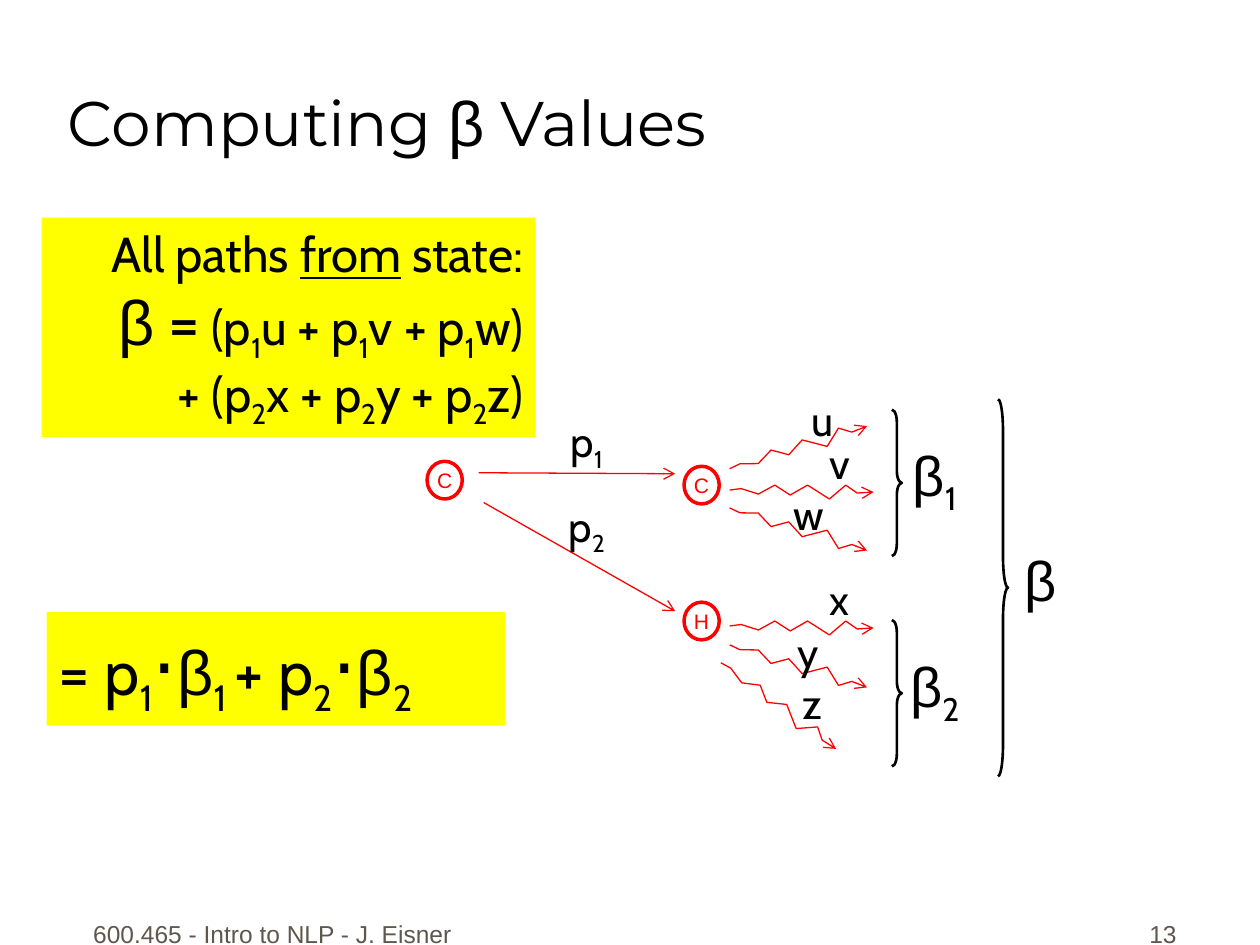
from math import cos, radians, sin
from lxml import etree
from pptx import Presentation
from pptx import util as u
from pptx.dml.color import RGBColor
from pptx.enum import shapes, text
from pptx.oxml.ns import qn

THEME = {
    "ink": "000000", "red": "FF0000", "muted": "5E574E", "highlight": "FFFF00",
    "arrow_pt": 0.75, "brace_pt": 1.5, "circle_pt": 2,
    "styles": {
        "title": (36, "Montserrat", "ink"), "title_greek": (36, "Arial", "ink"),
        "body": (28, "Cabin", "ink"), "big": (36, "Cabin", "ink"),
        "big_greek": (36, "Arial", "ink"), "dot": (44, "Arial", "ink"),
        "label": (24, "Cabin", "ink"), "greek": (32, "Arial", "ink"),
        "greek_sub": (32, "Cabin", "ink"), "node": (12, "Arial", "red"),
        "footer": (14, "Arial", "muted"),
    },
}

LEFT, CENTER, RIGHT = text.PP_ALIGN.LEFT, text.PP_ALIGN.CENTER, text.PP_ALIGN.RIGHT
TOP, MIDDLE, BOTTOM = text.MSO_ANCHOR.TOP, text.MSO_ANCHOR.MIDDLE, text.MSO_ANCHOR.BOTTOM


def terms(opening, index, names):
    runs = []
    for i, name in enumerate(names):
        lead = opening if i == 0 else names[i - 1] + " + p"
        runs += [(lead, "body"), (index, "body", "sub")]
    return runs + [(names[-1] + ")", "body")]


TITLE = [[("Computing ", "title"), ("β", "title_greek"), (" Values", "title")]]
PATH_SUM = [
    [("All paths ", "body"), ("from", "body", "underline"), (" state:", "body")],
    [("β", "big_greek"), (" =", "big"), *terms(" (p", "1", "uvw"),
     ("\n", "body"), *terms("+ (p", "2", "xyz")],
]
FACTORED = [[
    ("= p", "big"), ("1", "big", "sub"), ("⋅", "dot"), ("β", "big_greek"),
    ("1 ", "big", "sub"), ("+ p", "big"), ("2", "big", "sub"), ("⋅", "dot"),
    ("β", "big_greek"), ("2", "big", "sub"),
]]
FOOTERS = [
    ("600.465 - Intro to NLP - J. Eisner", (1.47, 17.98, 8.05, 1.27), CENTER),
    ("13", (18.69, 17.98, 5.28, 1.27), RIGHT),
]
HIGHLIGHTS = [
    (PATH_SUM, (0.84, 4.39, 9.96, 4.42), RIGHT),
    (FACTORED, (0.94, 12.34, 9.25, 2.29), LEFT),
]
NODES = [("C", 8.61, 9.3), ("C", 13.79, 9.4), ("H", 13.79, 12.14)]
EDGES = [("1", 8.26, (9.65, 9.53, 13.61, 9.55)), ("2", 9.96, (9.75, 10.13, 13.61, 12.32))]
PATHS = [
    ("u", (16.08, 7.82, 1.02), (14.71, 9.45), -18, 1),
    ("v", (16.46, 8.69, 0.94), (14.71, 9.88), 0, 1),
    ("w", (15.72, 9.73, 1.17), (14.71, 10.24), 18, -1),
    ("x", (16.46, 11.43, 0.94), (14.71, 12.62), 0, 1),
    ("y", (15.82, 12.5, 0.94), (14.71, 13.0), 18, -1),
    ("z", (15.93, 13.54, 0.89), (14.53, 13.36), 36, 1),
]
ZIGZAG = [(0, 0), (0.23, -0.03), (0.58, 0.08), (0.91, -0.1), (1.22, 0.1),
          (1.57, -0.1), (2.01, 0.18), (2.34, -0.1), (2.57, 0.06), (2.9, 0.04)]
BRACES = [
    ("1", (17.98, 8.26, 0.2, 2.95), (18.03, 8.76, 1.63, 1.6)),
    ("2", (17.98, 12.5, 0.2, 2.95), (18.03, 13, 1.63, 1.6)),
    ("", (20.12, 8.05, 0.2, 7.6), (20.37, 10.87, 1.22, 1.6)),
]


def color(name):
    return RGBColor.from_string(THEME[name])


def cm(values):
    return [u.Cm(v) for v in values]


def write(sp, paragraphs, align=LEFT, anchor=TOP, wrap=True, before=0):
    tf = sp.text_frame
    tf.word_wrap, tf.vertical_anchor = wrap, anchor
    for i, runs in enumerate(paragraphs):
        p = tf.add_paragraph() if i else tf.paragraphs[0]
        p.alignment, p.space_before = align, u.Pt(before)
        for content, style, *effects in runs:
            if content == "\n":
                p.add_line_break()
                continue
            r = p.add_run()
            r.text = content
            size, r.font.name, ink = THEME["styles"][style]
            r.font.size = u.Pt(size)
            r.font.color.rgb = color(ink)
            if "underline" in effects:
                r.font.underline = True
            if "sub" in effects:
                r._r.get_or_add_rPr().set("baseline", "-25000")


def add_text(slide, box, paragraphs, **layout):
    write(slide.shapes.add_textbox(*cm(box)), paragraphs, **layout)


def add_label(slide, box, runs):
    add_text(slide, box, [runs], align=CENTER, wrap=False)


def add_shape(slide, kind, box, fill=None, line=None, width=0):
    sp = slide.shapes.add_shape(kind, *cm(box))
    sp.shadow.inherit = False
    if fill:
        sp.fill.solid()
        sp.fill.fore_color.rgb = color(fill)
    else:
        sp.fill.background()
    if line:
        sp.line.color.rgb = color(line)
        sp.line.width = u.Pt(width)
    else:
        sp.line.fill.background()
    return sp


def style_arrow(sp):
    sp.line.color.rgb = color("red")
    sp.line.width = u.Pt(THEME["arrow_pt"])
    etree.SubElement(sp.line._get_or_add_ln(), qn("a:tailEnd"), type="arrow")
    etree.SubElement(sp._element.spPr, qn("a:effectLst"))


def add_zigzag(slide, start, angle, flip):
    c, s = cos(radians(angle)), sin(radians(angle))
    points = [cm((start[0] + x * c - y * flip * s, start[1] + x * s + y * flip * c))
              for x, y in ZIGZAG]
    builder = slide.shapes.build_freeform(*points[0])
    builder.add_line_segments(points[1:], close=False)
    sp = builder.convert_to_shape()
    sp.fill.background()
    style_arrow(sp)


def main():
    prs = Presentation()
    prs.slide_width, prs.slide_height = cm((25.4, 19.05))
    slide = prs.slides.add_slide(prs.slide_layouts[6])

    add_text(slide, (1.12, 0.15, 23.65, 3.18), TITLE, anchor=BOTTOM)
    for content, box, align in FOOTERS:
        add_text(slide, box, [[(content, "footer")]], align=align, anchor=BOTTOM, before=8.8)
    for paragraphs, box, align in HIGHLIGHTS:
        sp = add_shape(slide, shapes.MSO_SHAPE.RECTANGLE, box, fill="highlight")
        write(sp, paragraphs, align=align)
    for name, x, y in NODES:
        sp = add_shape(slide, shapes.MSO_SHAPE.OVAL, (x, y, 0.71, 0.76),
                       line="red", width=THEME["circle_pt"])
        write(sp, [[(name, "node")]], align=CENTER, anchor=MIDDLE, wrap=False)
    for index, top, ends in EDGES:
        style_arrow(slide.shapes.add_connector(shapes.MSO_CONNECTOR.STRAIGHT, *cm(ends)))
        add_label(slide, (11.18, top, 1.3, 1.42), [("p", "label"), (index, "label", "sub")])
    for name, (x, y, w), start, angle, flip in PATHS:
        add_zigzag(slide, start, angle, flip)
        add_label(slide, (x, y, w, 1.27), [(name, "label")])
    for index, box, label_box in BRACES:
        sp = add_shape(slide, shapes.MSO_SHAPE.RIGHT_BRACE, box,
                       line="ink", width=THEME["brace_pt"])
        sp.adjustments[0] = box[3] / 12 / box[2]
        subscript = [(index, "greek_sub", "sub")] if index else []
        add_label(slide, label_box, [("β", "greek")] + subscript)

    prs.save("out.pptx")


if __name__ == "__main__":
    main()
